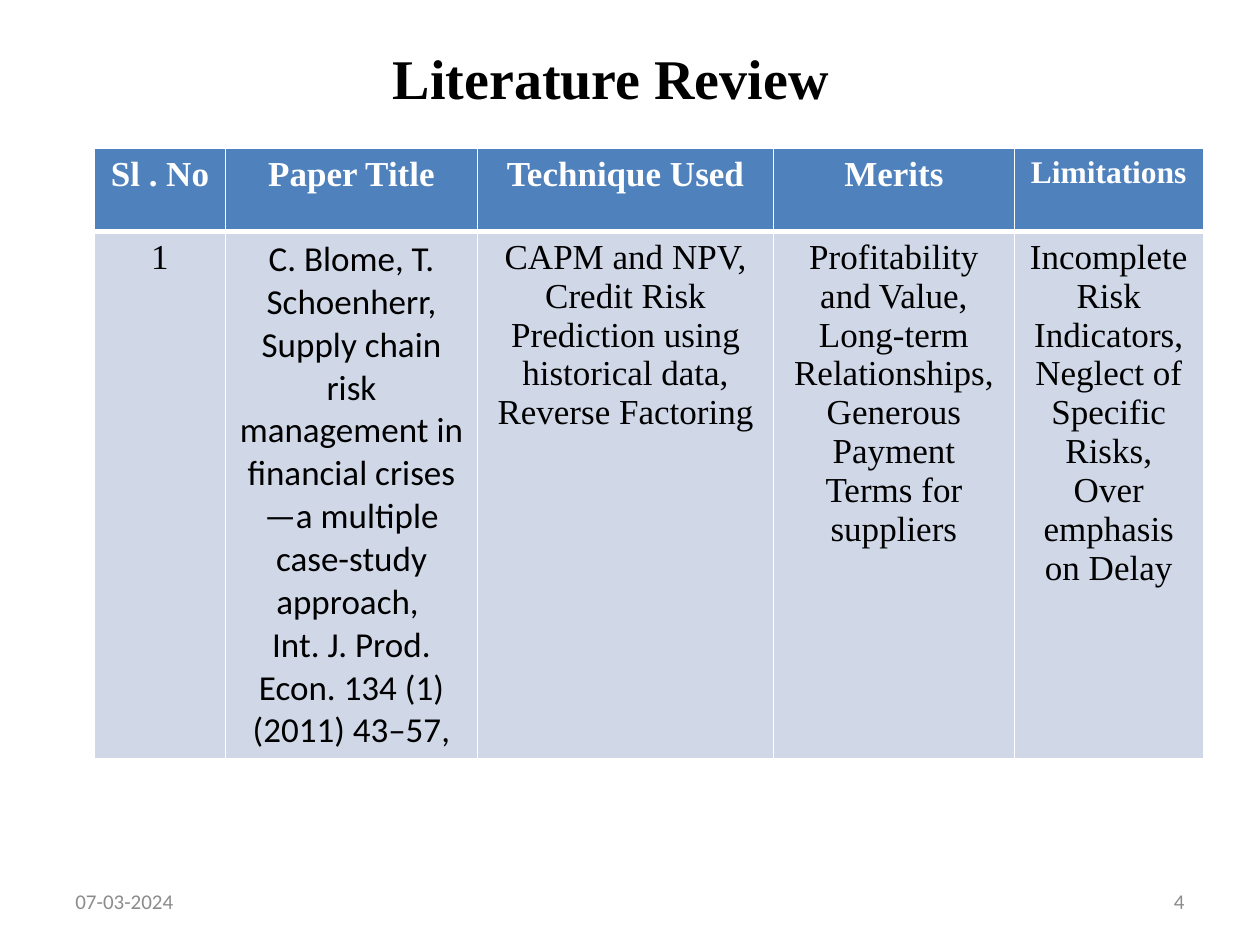
from lxml import etree
from pptx import Presentation
from pptx.dml.color import RGBColor
from pptx.enum.text import MSO_ANCHOR, PP_ALIGN
from pptx.oxml.ns import qn
from pptx.util import Inches, Pt

LEFT, CENTER, RIGHT = PP_ALIGN.LEFT, PP_ALIGN.CENTER, PP_ALIGN.RIGHT
MIDDLE = MSO_ANCHOR.MIDDLE
TITLE_ONLY = 5
SERIF, SANS = "Times New Roman", "Calibri"

COLORS = {"ink": "000000", "white": "FFFFFF", "header": "4F81BD",
          "body": "D0D8E8", "footer": "8C8C8C"}

COLUMN_WIDTHS = [1.04, 2, 2.35, 1.91, 1.5]
ROW_HEIGHTS = [0.66, 3.79]
HEADINGS = ["Sl . No", "Paper Title", "Technique Used", "Merits", "Limitations"]
REVIEW = [
    ["1"],
    ["C. Blome, T. Schoenherr,",
     "Supply chain risk management in financial crises—a multiple "
     "case-study approach, ",
     "Int. J. Prod. Econ. 134 (1) (2011) 43–57,"],
    ["CAPM and NPV,", "Credit Risk", "Prediction using historical data,",
     "Reverse Factoring"],
    ["Profitability and Value,", "Long-term", "Relationships,",
     "Generous Payment Terms for suppliers"],
    ["Incomplete Risk Indicators,", "Neglect of Specific Risks,", "Over",
     "emphasis on Delay"],
]


class ReviewSlide:
    """Holds the slide and the style shared by its elements."""

    def __init__(self, slide):
        self.slide = slide

    def set_lines(self, frame, lines, color, align=CENTER, **font_format):
        """Fill a text frame with one paragraph per line."""
        frame.word_wrap = True
        for index, line in enumerate(lines):
            paragraph = frame.add_paragraph() if index else frame.paragraphs[0]
            paragraph.alignment = align
            run = paragraph.add_run()
            run.text = line
            for attribute, value in font_format.items():
                setattr(run.font, attribute, value)
            run.font.color.rgb = RGBColor.from_string(COLORS[color])

    def place_title(self, text, left, top, width, height):
        title = self.slide.shapes.title
        bounds = {"left": left, "top": top, "width": width, "height": height}
        for attribute, value in bounds.items():
            setattr(title, attribute, Inches(value))
        title.text_frame.vertical_anchor = MIDDLE
        self.set_lines(title.text_frame, [text], "ink",
                       name=SERIF, size=Pt(32), bold=True)

    def add_footer(self, text, left, align):
        box = self.slide.shapes.add_textbox(
            Inches(left), Inches(6.95), Inches(2.33), Inches(0.4))
        box.text_frame.vertical_anchor = MIDDLE
        self.set_lines(box.text_frame, [text], "footer", align,
                       name=SANS, size=Pt(12))

    def add_table(self, left, top):
        table = self.slide.shapes.add_table(
            len(ROW_HEIGHTS), len(COLUMN_WIDTHS), Inches(left), Inches(top),
            Inches(sum(COLUMN_WIDTHS)), Inches(sum(ROW_HEIGHTS))).table
        for column, width in zip(table.columns, COLUMN_WIDTHS):
            column.width = Inches(width)
        for row, height in zip(table.rows, ROW_HEIGHTS):
            row.height = Inches(height)
        return table

    def fill_cell(self, cell, lines, fill, color, borders, **font_format):
        cell.fill.solid()
        cell.fill.fore_color.rgb = RGBColor.from_string(COLORS[fill])
        self.set_lines(cell.text_frame, lines, color, **font_format)
        self.set_borders(cell, borders)

    def set_borders(self, cell, widths):
        """Draw white borders; widths are points for left, right, top, bottom."""
        properties = cell._tc.get_or_add_tcPr()
        for index, (side, width) in enumerate(zip("LRTB", widths)):
            line = etree.Element(qn(f"a:ln{side}"), w=str(Pt(width)))
            solid = etree.SubElement(line, qn("a:solidFill"))
            etree.SubElement(solid, qn("a:srgbClr"), val=COLORS["white"])
            properties.insert(index, line)


def main():
    deck = Presentation()
    deck.slide_width, deck.slide_height = Inches(10), Inches(7.5)
    review = ReviewSlide(deck.slides.add_slide(deck.slide_layouts[TITLE_ONLY]))

    review.place_title("Literature Review", 0.75, -0.01, 8.2, 1.25)
    table = review.add_table(0.75, 1.18)
    for column, (heading, findings) in enumerate(zip(HEADINGS, REVIEW)):
        heading_size = 18 if heading == "Limitations" else 20
        review.fill_cell(table.cell(0, column), [heading], "header", "white",
                         (1, 1, 1, 3), name=SERIF, size=Pt(heading_size),
                         bold=True)
        body_font = SANS if heading == "Paper Title" else SERIF
        review.fill_cell(table.cell(1, column), findings, "body", "ink",
                         (1, 1, 3, 1), name=body_font, size=Pt(20), bold=False)
    review.add_footer("07-03-2024", 0.5, LEFT)
    review.add_footer("4", 7.17, RIGHT)

    deck.save("out.pptx")


if __name__ == "__main__":
    main()
